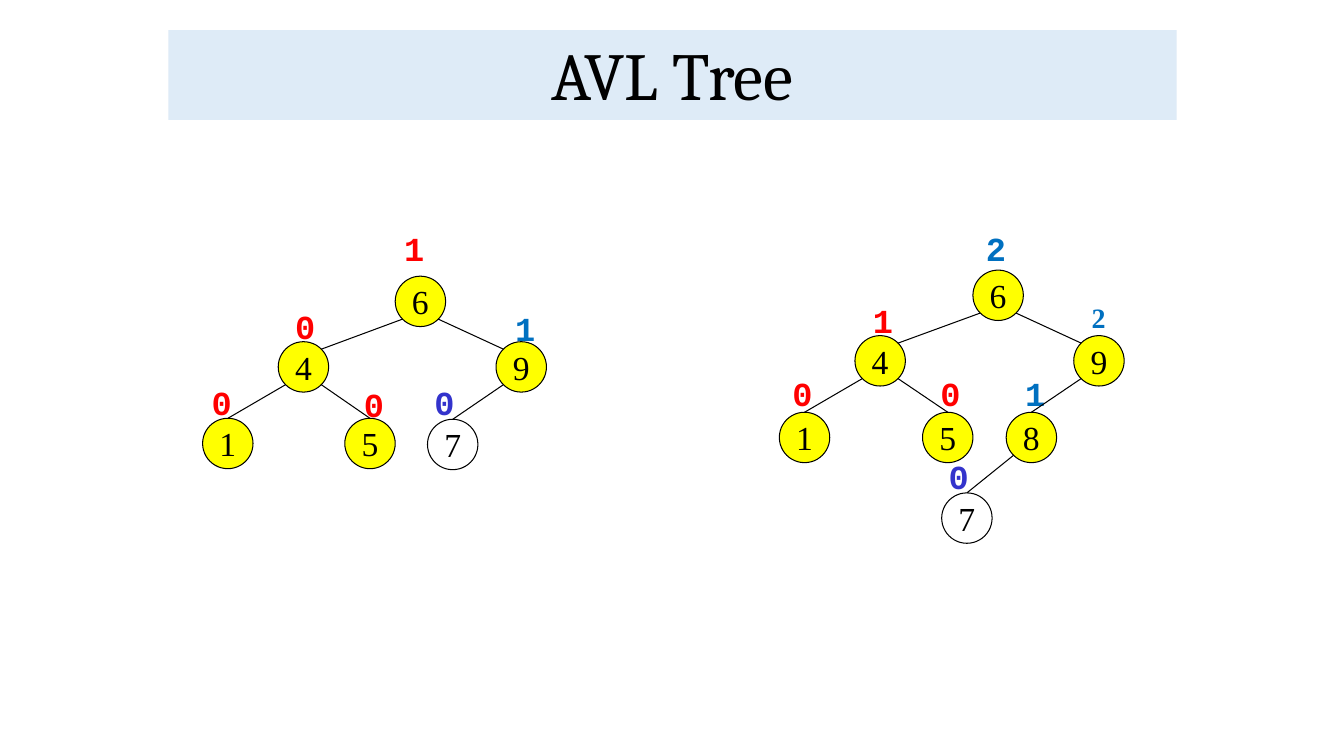
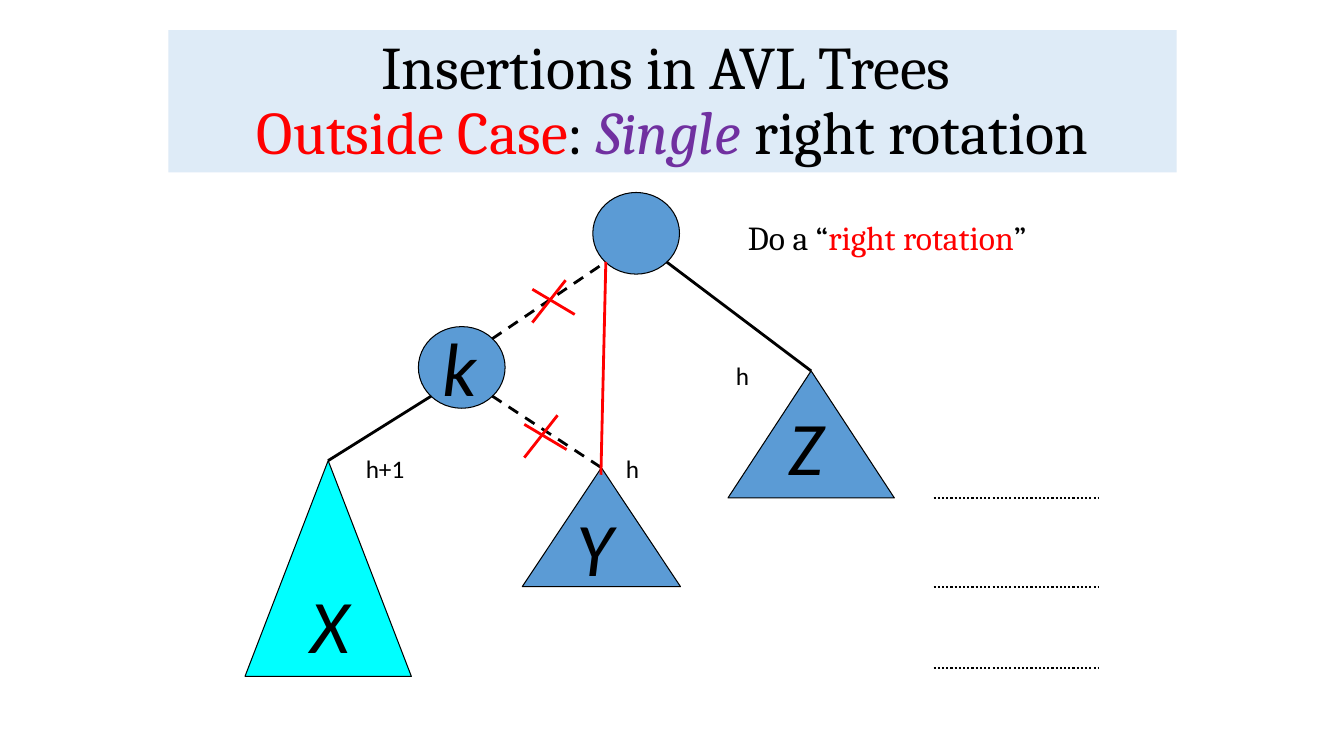
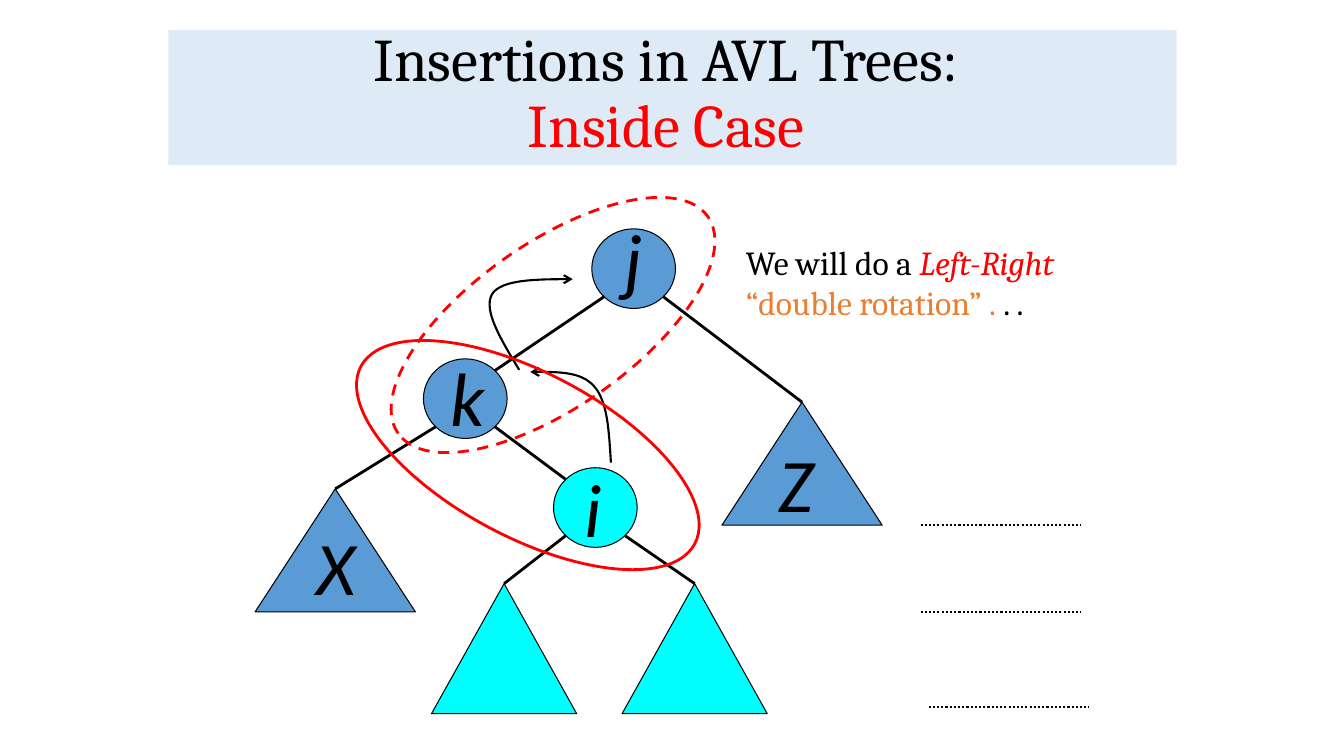
"""Build three slides on AVL trees: balance, outside case and inside case."""
import dataclasses
import typing

import pptx
import pptx.dml.color
import pptx.enum.dml
import pptx.enum.shapes
import pptx.enum.text
import pptx.oxml
import pptx.oxml.ns
import pptx.util

RGB = pptx.dml.color.RGBColor
PRESET = pptx.enum.shapes.MSO_SHAPE
DASH = pptx.enum.dml.MSO_LINE_DASH_STYLE
ALIGN = pptx.enum.text.PP_ALIGN
ANCHOR = pptx.enum.text.MSO_ANCHOR
AUTOSIZE = pptx.enum.text.MSO_AUTO_SIZE

EMU_PER_PX = 9144
SLIDE_WIDTH, SLIDE_HEIGHT = 1333, 750

BLACK = RGB(0x00, 0x00, 0x00)
RED = RGB(0xFF, 0x00, 0x00)
BLUE = RGB(0x00, 0x70, 0xC0)
INDIGO = RGB(0x33, 0x33, 0xCC)
PURPLE = RGB(0x70, 0x30, 0xA0)
ORANGE = RGB(0xED, 0x7D, 0x31)
YELLOW = RGB(0xFF, 0xFF, 0x00)
STEEL = RGB(0x5B, 0x9B, 0xD5)
CYAN = RGB(0x00, 0xFF, 0xFF)
TITLE_BAND = RGB(0xDE, 0xEB, 0xF7)

SERIF, SANS, MONO, ROMAN = "Cambria", "Calibri", "Courier New", "Times New Roman"

TOP = (0.5, 0.0)
TOP_LEFT, TOP_RIGHT = (0.15, 0.15), (0.85, 0.15)
BOTTOM_LEFT, BOTTOM_RIGHT = (0.15, 0.85), (0.85, 0.85)

Point = tuple[float, float]


class Span(typing.NamedTuple):
    """A run of text with its look."""
    text: str
    size: float
    font: str
    color: RGB = BLACK
    bold: bool = False
    italic: bool = False


class Pen(typing.NamedTuple):
    """The look of a line."""
    color: RGB = BLACK
    width: float = 2
    dash: typing.Optional[DASH] = None


OUTLINE = Pen(width=0.75)
SOLID = Pen()
DASHED = Pen(dash=DASH.DASH)
DOTTED = Pen(width=1.5, dash=DASH.ROUND_DOT)
RED_SOLID = Pen(RED)
RED_DASHED = Pen(RED, dash=DASH.DASH)
ARROW = Pen(width=1.5)


@dataclasses.dataclass(frozen=True)
class Node:
    """A circle or a subtree triangle."""
    left: int
    top: int
    width: int = 50
    height: int = 50
    fill: typing.Optional[RGB] = YELLOW
    label: str = ""
    preset: PRESET = PRESET.OVAL

    def site(self, place: Point) -> Point:
        """Return the point at a fraction of the width and height."""
        return self.left + place[0] * self.width, self.top + place[1] * self.height


@dataclasses.dataclass(frozen=True)
class Edge:
    """A line from a site of one node to a site of another."""
    parent: str
    start: Point
    child: str
    end: Point = TOP
    pen: Pen = SOLID


@dataclasses.dataclass(frozen=True)
class Label:
    """A short text at a place."""
    left: int
    top: int
    span: Span
    width: int = 40
    height: int = 50
    wrap: bool = False


def px(length: float) -> int:
    """Turn px into EMU."""
    return round(length * EMU_PER_PX)


def set_line(line: typing.Any, pen: Pen) -> None:
    """Give a line its colour, width and dash."""
    line.color.rgb = pen.color
    line.width = pptx.util.Pt(pen.width)
    if pen.dash is not None:
        line.dash_style = pen.dash


def add_span(para: typing.Any, span: Span) -> None:
    """Add one run to a paragraph."""
    run = para.add_run()
    run.text = span.text
    run.font.size = pptx.util.Pt(span.size)
    run.font.name = span.font
    run.font.color.rgb = span.color
    run.font.bold = span.bold
    run.font.italic = span.italic


def add_preset(page: typing.Any, node: Node, pen: typing.Optional[Pen] = OUTLINE) -> typing.Any:
    """Add a preset shape with its fill and outline."""
    shape = page.shapes.add_shape(
        node.preset, px(node.left), px(node.top), px(node.width), px(node.height))
    shape.shadow.inherit = False
    if node.fill is None:
        shape.fill.background()
    else:
        shape.fill.solid()
        shape.fill.fore_color.rgb = node.fill
    if pen is None:
        shape.line.fill.background()
    else:
        set_line(shape.line, pen)
    return shape


def add_title(page: typing.Any, height: int, size: float,
              lines: list[list[tuple[str, RGB, bool]]]) -> None:
    """Add the title band with its lines of text."""
    box = add_preset(page, Node(167, 30, 1000, height, TITLE_BAND, preset=PRESET.RECTANGLE), None)
    frame = box.text_frame
    frame.word_wrap = True
    frame.vertical_anchor = ANCHOR.BOTTOM
    para = frame.paragraphs[0]
    para.alignment = ALIGN.CENTER
    para.line_spacing = 0.9
    for index, line in enumerate(lines):
        if index:
            para.add_line_break()
        for text, color, italic in line:
            add_span(para, Span(text, size, SERIF, color, italic=italic))


def add_text(page: typing.Any, left: int, top: int, width: int, height: int,
             lines: list[list[Span]], wrap: bool = False) -> None:
    """Add a text box, one paragraph a line."""
    box = page.shapes.add_textbox(px(left), px(top), px(width), px(height))
    frame = box.text_frame
    frame.word_wrap = wrap
    frame.auto_size = AUTOSIZE.SHAPE_TO_FIT_TEXT
    for index, line in enumerate(lines):
        para = frame.add_paragraph() if index else frame.paragraphs[0]
        for span in line:
            add_span(para, span)


def add_label(page: typing.Any, label: Label) -> None:
    """Add a label."""
    add_text(page, label.left, label.top, label.width, label.height, [[label.span]], label.wrap)


def add_node(page: typing.Any, node: Node) -> None:
    """Add a node with the key inside it."""
    shape = add_preset(page, node)
    if node.label:
        frame = shape.text_frame
        frame.word_wrap = False
        frame.vertical_anchor = ANCHOR.MIDDLE
        para = frame.paragraphs[0]
        para.alignment = ALIGN.CENTER
        add_span(para, Span(node.label, 24, ROMAN))


def add_line(page: typing.Any, start: Point, end: Point, pen: Pen) -> None:
    """Add a straight line."""
    line = page.shapes.add_connector(
        pptx.enum.shapes.MSO_CONNECTOR.STRAIGHT, *map(px, (*start, *end)))
    set_line(line.line, pen)
    pptx.oxml.ns.qn("a:effectLst")
    line._element.spPr.append(line._element.spPr.makeelement(pptx.oxml.ns.qn("a:effectLst"), {}))


def add_tree(page: typing.Any, nodes: dict[str, Node], labels: list[Label],
             edges: list[Edge]) -> None:
    """Add the nodes, the labels and the edges of a tree."""
    inside_keys = any(node.label for node in nodes.values())
    if inside_keys:
        for label in labels:
            add_label(page, label)
    for node in nodes.values():
        add_node(page, node)
    if not inside_keys:
        for label in labels:
            add_label(page, label)
    for edge in edges:
        add_line(page, nodes[edge.parent].site(edge.start),
                 nodes[edge.child].site(edge.end), edge.pen)


def add_cross(page: typing.Any, left: int, top: int) -> None:
    """Add a red cross that strikes out an edge."""
    add_line(page, (left, top + 9), (left + 42, top + 34), RED_SOLID)
    add_line(page, (left + 33, top), (left, top + 42), RED_SOLID)


def add_level(page: typing.Any, left: int, top: int, width: int) -> None:
    """Add a dotted line that marks a level."""
    add_line(page, (left, top), (left + width, top), DOTTED)


def curve_points(points: list[Point], steps: int = 16) -> list[Point]:
    """Return points along a chain of cubic curves."""
    found = [points[0]]
    for first in range(0, len(points) - 1, 3):
        corners = points[first:first + 4]
        for step in range(1, steps + 1):
            t = step / steps
            weights = ((1 - t) ** 3, 3 * t * (1 - t) ** 2, 3 * t * t * (1 - t), t ** 3)
            found.append((sum(w * x for w, (x, _) in zip(weights, corners)),
                          sum(w * y for w, (_, y) in zip(weights, corners))))
    return found


def add_curved_arrow(page: typing.Any, points: list[Point]) -> None:
    """Add a curve with an open arrowhead at its end."""
    start, *rest = [(px(x), px(y)) for x, y in curve_points(points)]
    builder = page.shapes.build_freeform(*start)
    builder.add_line_segments(rest, close=False)
    arrow = builder.convert_to_shape()
    arrow.shadow.inherit = False
    arrow.fill.background()
    set_line(arrow.line, ARROW)
    line = arrow._element.spPr.find(pptx.oxml.ns.qn("a:ln"))
    line.append(line.makeelement(pptx.oxml.ns.qn("a:tailEnd"), {"type": "arrow"}))


def add_ring(page: typing.Any, left: int, top: int, turn: int, pen: Pen) -> None:
    """Add a turned ring around two nodes."""
    ring = add_preset(page, Node(left, top, 375, 163, None), pen)
    ring.rotation = turn


def balance(left: int, top: int, text: str, color: RGB) -> Label:
    """Return the balance number beside a node."""
    return Label(left, top, Span(text, 24, MONO, color, bold=True))


def letter(left: int, top: int, text: str) -> Label:
    """Return the large letter that names a node."""
    return Label(left, top, Span(text, 54, SANS, italic=True), 53, 100, True)


def height_mark(left: int, top: int, text: str, width: int = 36) -> Label:
    """Return the height of a subtree."""
    return Label(left, top, Span(text, 18, SANS), width, 43)


def triangle(left: int, top: int, width: int, height: int, fill: RGB = STEEL) -> Node:
    """Return a subtree triangle."""
    return Node(left, top, width, height, fill, preset=PRESET.ISOSCELES_TRIANGLE)


def key_nodes(places: dict[str, Point]) -> dict[str, Node]:
    """Return circles with keys, the new key 7 unfilled."""
    return {key: Node(*place, fill=None if key == "7" else YELLOW, label=key)
            for key, place in places.items()}


def build_balance(page: typing.Any) -> None:
    """Build the slide with two trees and their balance numbers."""
    add_title(page, 89, 48, [[("AVL Tree", BLACK, False)]])
    shared_edges = [
        Edge("6", BOTTOM_LEFT, "4", TOP_RIGHT, OUTLINE),
        Edge("6", BOTTOM_RIGHT, "9", TOP_LEFT, OUTLINE),
        Edge("4", BOTTOM_LEFT, "1", pen=OUTLINE),
        Edge("4", BOTTOM_RIGHT, "5", pen=OUTLINE),
    ]
    add_tree(
        page,
        key_nodes({"6": (392, 274), "4": (276, 339), "9": (492, 339),
                   "1": (201, 415), "5": (342, 415), "7": (424, 416)}),
        [balance(391, 221, "1", RED), balance(283, 299, "0", RED),
         balance(501, 301, "1", BLUE), balance(200, 374, "0", RED),
         balance(351, 376, "0", RED), balance(421, 374, "0", INDIGO)],
        shared_edges + [Edge("9", BOTTOM_LEFT, "7", pen=OUTLINE)])
    add_tree(
        page,
        key_nodes({"6": (965, 268), "4": (848, 333), "9": (1065, 333), "8": (998, 409),
                   "1": (773, 409), "5": (915, 409), "7": (934, 489)}),
        [balance(968, 221, "2", BLUE), balance(856, 293, "1", RED),
         Label(1073, 293, Span("2", 20, ROMAN, BLUE, bold=True), 34, 43),
         balance(1007, 365, "1", BLUE), balance(776, 365, "0", RED),
         balance(923, 365, "0", RED), balance(931, 447, "0", INDIGO)],
        shared_edges + [Edge("9", BOTTOM_LEFT, "8", pen=OUTLINE),
                        Edge("8", BOTTOM_LEFT, "7", pen=OUTLINE)])


def build_outside_case(page: typing.Any) -> None:
    """Build the slide on the single right rotation."""
    add_title(page, 141, 43.2, [
        [("Insertions in AVL Trees ", BLACK, False)],
        [("Outside Case", RED, False), (": ", BLACK, False),
         ("Single ", PURPLE, True), ("right rotation", BLACK, False)]])
    nodes = {
        "root": Node(588, 191, 86, 81, STEEL),
        "k": Node(415, 324, 86, 81, STEEL),
        "X": triangle(243, 457, 165, 214, CYAN),
        "Y": triangle(518, 464, 157, 118),
        "Z": triangle(722, 368, 165, 126),
    }
    labels = [
        letter(429, 313, "k"), letter(298, 568, "X"),
        letter(562, 492, "Y"), letter(772, 392, "Z"),
        height_mark(720, 353, "h"), height_mark(353, 445, "h+1", 67),
        height_mark(611, 445, "h"),
    ]
    add_tree(page, nodes, labels, [
        Edge("k", BOTTOM_LEFT, "X"),
        Edge("root", BOTTOM_RIGHT, "Z"),
        Edge("k", TOP_RIGHT, "root", BOTTOM_LEFT, DASHED),
        Edge("k", BOTTOM_RIGHT, "Y", pen=DASHED),
    ])
    add_line(page, nodes["root"].site(BOTTOM_LEFT), (596, 471), RED_SOLID)
    add_cross(page, 528, 278)
    add_cross(page, 520, 412)
    for top in (494, 582, 663):
        add_level(page, 926, top, 164)
    add_text(page, 732, 210, 325, 50, [[
        Span("Do a “", 24, SERIF), Span("right rotation", 24, SERIF, RED),
        Span("”", 24, SERIF)]])


def build_inside_case(page: typing.Any) -> None:
    """Build the slide on the double rotation."""
    add_title(page, 134, 43.2, [
        [("Insertions in AVL Trees: ", BLACK, False)],
        [("Inside Case ", RED, False)]])
    nodes = {
        "j": Node(587, 227, 83, 79, STEEL),
        "k": Node(420, 356, 83, 79, STEEL),
        "i": Node(549, 464, 83, 79, CYAN),
        "X": triangle(253, 485, 159, 122),
        "Z": triangle(716, 399, 159, 122),
        "left": triangle(428, 579, 144, 129, CYAN),
        "right": triangle(617, 579, 144, 129, CYAN),
    }
    labels = [
        letter(610, 205, "j"), letter(437, 343, "k"), letter(570, 453, "i"),
        letter(304, 511, "X"), letter(762, 429, "Z"),
    ]
    add_tree(page, nodes, labels, [
        Edge("j", BOTTOM_LEFT, "k", TOP_RIGHT),
        Edge("j", BOTTOM_RIGHT, "Z"),
        Edge("k", BOTTOM_LEFT, "X"),
        Edge("k", BOTTOM_RIGHT, "i", TOP_LEFT),
        Edge("i", BOTTOM_LEFT, "left"),
        Edge("i", BOTTOM_RIGHT, "right"),
    ])
    for left, top in ((913, 521), (913, 607), (921, 701)):
        add_level(page, left, top, 159)
    add_text(page, 730, 235, 373, 91, [
        [Span("We will do a ", 24, SERIF), Span("Left-Right", 24, SERIF, RED, italic=True)],
        [Span("“double rotation” .", 24, SERIF, ORANGE), Span(" . .", 24, SERIF)]])
    add_curved_arrow(page, [(606, 459), (604, 429), (603, 398), (589, 383),
                            (576, 368), (551, 369), (526, 369)])
    add_curved_arrow(page, [(515, 367), (497, 337), (479, 308), (488, 292),
                            (497, 277), (533, 277), (568, 277)])
    add_ring(page, 336, 370, 28, RED_SOLID)
    add_ring(page, 361, 241, 325, RED_DASHED)


def main() -> None:
    """Build and save the deck."""
    deck = pptx.Presentation()
    deck.slide_width, deck.slide_height = px(SLIDE_WIDTH), px(SLIDE_HEIGHT)
    for build in (build_balance, build_outside_case, build_inside_case):
        build(deck.slides.add_slide(deck.slide_layouts[6]))
    deck.save("out.pptx")


if __name__ == "__main__":
    main()
